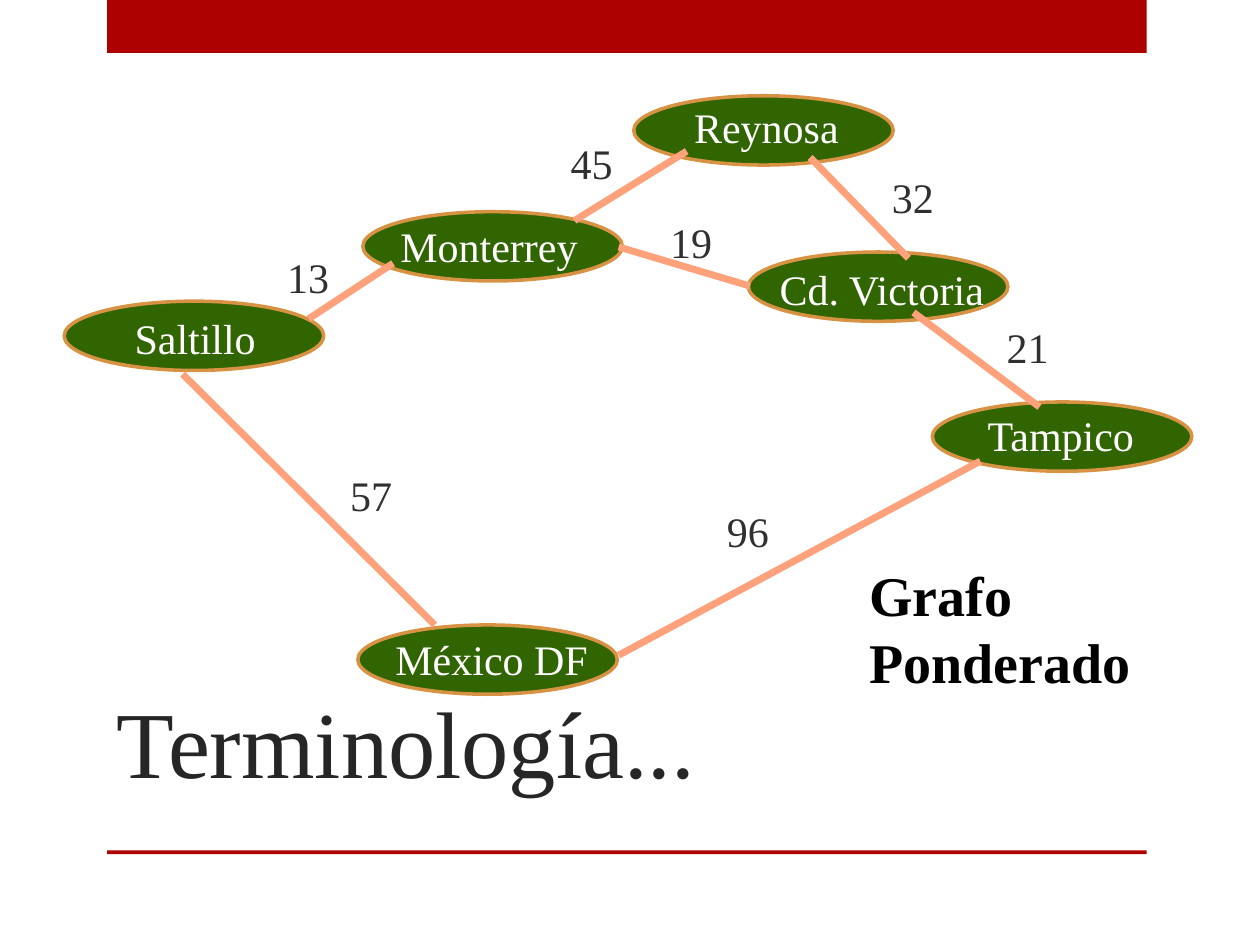
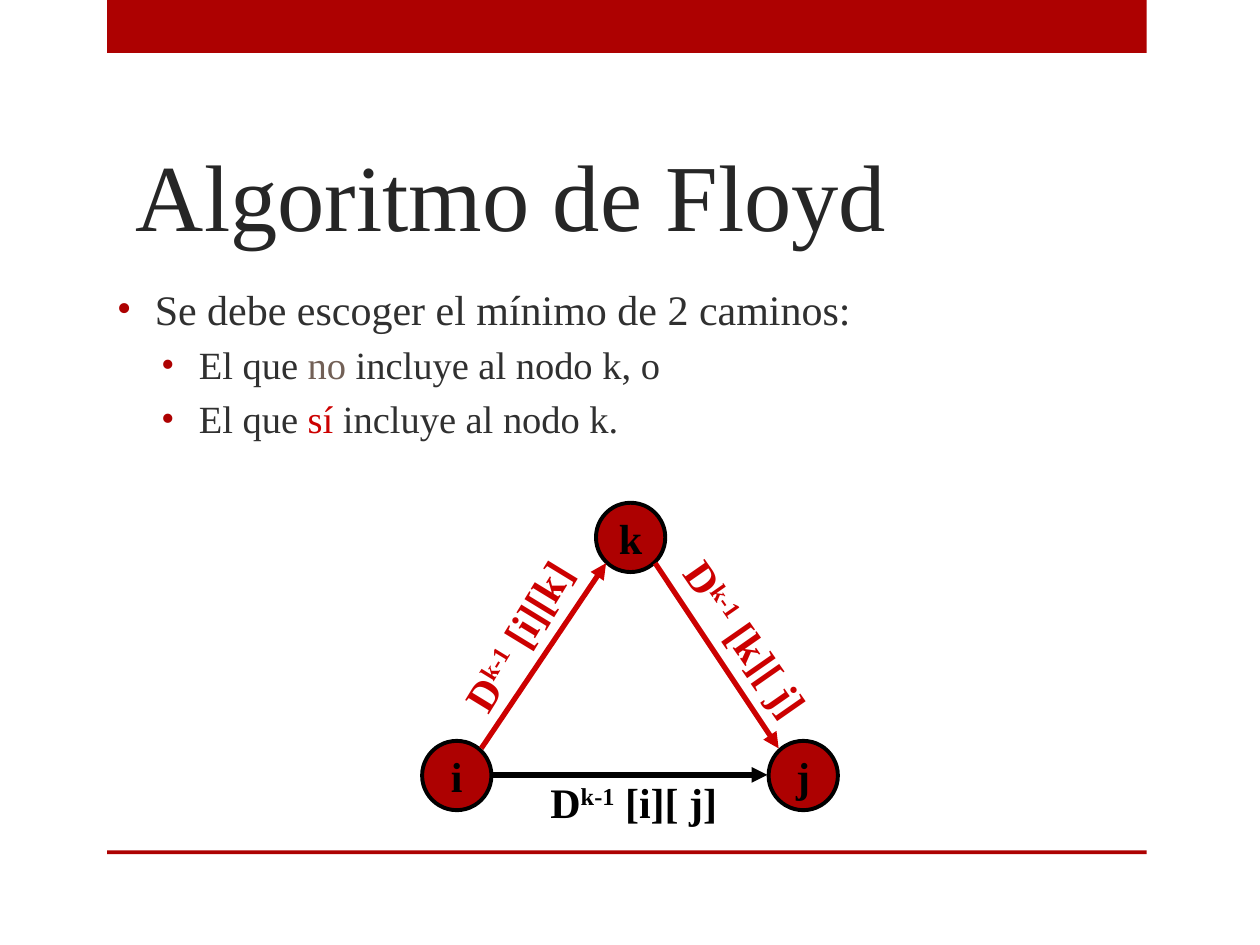
from lxml import etree
from pptx import Presentation
from pptx.dml.color import RGBColor
from pptx.enum import shapes, text
from pptx.oxml import ns
from pptx.util import Inches, Pt

FONT = "Times New Roman"
RED = RGBColor(0xAD, 0x01, 0x01)
VIVID = RGBColor(0xCC, 0x00, 0x00)
GREEN = RGBColor(0x31, 0x65, 0x01)
GOLD = RGBColor(0xD8, 0x92, 0x43)
SALMON = RGBColor(0xFF, 0xA2, 0x7C)
BROWN = RGBColor(0x72, 0x60, 0x56)
INK = RGBColor(0x26, 0x26, 0x26)
GREY = RGBColor(0x30, 0x30, 0x30)
BLACK = RGBColor(0, 0, 0)
WHITE = RGBColor(0xFF, 0xFF, 0xFF)

OVAL = shapes.MSO_SHAPE.OVAL
MIDDLE = text.MSO_ANCHOR.MIDDLE
BOTTOM = text.MSO_ANCHOR.BOTTOM

# name, left and top of the ellipse, then left, top and width of its label
CITIES = [
    ("Monterrey", 2.88, 1.68, 3.08, 1.7, 1.64),
    ("Saltillo", 0.51, 2.39, 0.97, 2.43, 1.2),
    ("México DF", 2.84, 4.96, 3.04, 4.98, 1.76),
    ("Reynosa", 5.03, 0.76, 5.41, 0.76, 1.38),
    ("Cd. Victoria", 5.94, 2, 6.09, 2.04, 1.87),
    ("Tampico", 7.4, 3.19, 7.74, 3.2, 1.41),
]

# weight, left and top of its label, start and end of the road
ROADS = [
    ("13", 2.18, 1.95, (2.45, 2.53), (3.12, 2.09)),
    ("96", 5.67, 3.96, (4.91, 5.2), (7.78, 3.66)),
    ("57", 2.68, 3.68, (1.45, 2.97), (3.45, 4.96)),
    ("45", 4.43, 1.04, (4.56, 1.75), (5.45, 1.2)),
    ("32", 6.98, 1.31, (7.21, 2.05), (6.43, 1.25)),
    ("21", 7.89, 2.5, (8.25, 3.23), (7.25, 2.48)),
    ("19", 5.22, 1.67, (5.95, 2.27), (4.91, 1.96)),
]

NODES = [("i", 3.35, 5.88), ("j", 6.1, 5.88), ("k", 4.73, 3.99)]

# indices, label place, turn, colour, start and end of the arrow
PATHS = [
    (" [i][ j]", (4.27, 6.11, 1.58, 0.5), 0, BLACK, (3.91, 6.15), (6.09, 6.15)),
    (" [k][ j]", (5.1, 4.84, 1.67, 0.51), 55.2, VIVID, (5.2, 4.47), (6.18, 5.94)),
    (" [i][k]", (3.34, 4.77, 1.57, 0.51), 301.4, VIVID, (3.82, 5.94), (4.81, 4.47)),
]

# level, then runs with their colours
POINTS = [
    (0, [("Se debe escoger el mínimo de 2 caminos:", GREY)]),
    (1, [("El que ", GREY), ("no", BROWN), (" incluye al nodo k, o", GREY)]),
    (1, [("El que ", GREY), ("sí", VIVID), (" incluye al nodo k.", GREY)]),
]


def style(font, size, color, bold=False):
    font.name = FONT
    font.size = Pt(size)
    font.bold = bold
    font.color.rgb = color


def shape(slide, kind, place, fill, edge=None, width=0):
    item = slide.shapes.add_shape(kind, *map(Inches, place))
    item.shadow.inherit = False
    item.fill.solid()
    item.fill.fore_color.rgb = fill
    if edge is None:
        item.line.fill.background()
    else:
        item.line.color.rgb = edge
        item.line.width = Pt(width)
    return item


def frame(slide, place, wrap=False, anchor=text.MSO_ANCHOR.TOP):
    box = slide.shapes.add_textbox(*map(Inches, place))
    box.text_frame.word_wrap = wrap
    box.text_frame.vertical_anchor = anchor
    return box


def label(slide, words, place, size, color, bold=False, **layout):
    box = frame(slide, place, **layout)
    box.text_frame.text = words
    for para in box.text_frame.paragraphs:
        for run in para.runs:
            style(run.font, size, color, bold)


def line(slide, start, end, color, width, arrow=False):
    link = slide.shapes.add_connector(
        shapes.MSO_CONNECTOR.STRAIGHT, *map(Inches, start + end))
    link.line.color.rgb = color
    link.line.width = Pt(width)
    if arrow:
        stroke = link._element.spPr.find(ns.qn("a:ln"))
        etree.SubElement(stroke, ns.qn("a:tailEnd"), type="triangle")
    etree.SubElement(link._element.spPr, ns.qn("a:effectLst"))


def node(slide, name, left, top):
    disc = shape(slide, OVAL, (left, top, 0.55, 0.55), RED, BLACK, 2.25)
    disc.text_frame.word_wrap = False
    disc.text_frame.vertical_anchor = MIDDLE
    para = disc.text_frame.paragraphs[0]
    para.text = name
    para.alignment = text.PP_ALIGN.CENTER
    style(para.runs[0].font, 24, BLACK, True)


def cost(slide, ends, place, turn, color):
    """Label a path with D, a raised k-1 and its two indices."""
    box = frame(slide, place)
    box.rotation = turn
    para = box.text_frame.paragraphs[0]
    for part in ("D", "k-1", ends):
        run = para.add_run()
        run.text = part
        style(run.font, 24, color, True)
        if part == "k-1":
            run.font._element.set("baseline", "30000")


def bullet(para, level):
    props = para._p.get_or_add_pPr()
    props.set("marL", str(Inches(0.3 + 0.35 * level)))
    props.set("indent", str(Inches(-0.3)))
    tint = etree.SubElement(props, ns.qn("a:buClr"))
    etree.SubElement(tint, ns.qn("a:srgbClr"), val=str(RED))
    etree.SubElement(props, ns.qn("a:buFont"), typeface=FONT)
    etree.SubElement(props, ns.qn("a:buChar"), char="•")


def points(slide, place):
    body = frame(slide, place, True, MIDDLE).text_frame
    for pos, (level, parts) in enumerate(POINTS):
        para = body.add_paragraph() if pos else body.paragraphs[0]
        para.level = level
        bullet(para, level)
        if pos:
            para.space_before = Pt(4.4)
        for words, color in parts:
            run = para.add_run()
            run.text = words
            style(run.font, 24 - 2 * level, color)


def page(deck, title, left, top, anchor):
    """Add a slide with the red band, the bottom rule and a title."""
    slide = deck.slides.add_slide(deck.slide_layouts[6])
    for y, height in ((0, 0.42), (6.75, 0.03)):
        shape(slide, shapes.MSO_SHAPE.RECTANGLE, (0.85, y, 8.25, height), RED)
    label(slide, title, (left, top, 7.42, 1.75), 54, INK,
          wrap=True, anchor=anchor)
    return slide


def graph(deck):
    slide = page(deck, "Terminología...", 0.83, 5, MIDDLE)
    for name, left, top, x, y, width in CITIES:
        shape(slide, OVAL, (left, top, 2.06, 0.55), GREEN, GOLD, 2)
        label(slide, name, (x, y, width, 0.5), 24, WHITE)
    for weight, x, y, start, end in ROADS:
        line(slide, start, end, SALMON, 4)
        label(slide, weight, (x, y, 0.53, 0.5), 24, GREY)
    label(slide, "Grafo\nPonderado", (6.8, 4.4, 2.35, 1.17), 32, BLACK, True)


def floyd(deck):
    slide = page(deck, "Algoritmo de Floyd", 0.98, 0.29, BOTTOM)
    points(slide, (0.83, 0.75, 8.25, 4.25))
    for name, left, top in NODES:
        node(slide, name, left, top)
    for ends, place, turn, color, start, end in PATHS:
        line(slide, start, end, color, 3, True)
        cost(slide, ends, place, turn, color)


def main():
    deck = Presentation()
    deck.slide_width = Inches(10)
    deck.slide_height = Inches(7.5)
    graph(deck)
    floyd(deck)
    deck.save("out.pptx")


if __name__ == "__main__":
    main()
